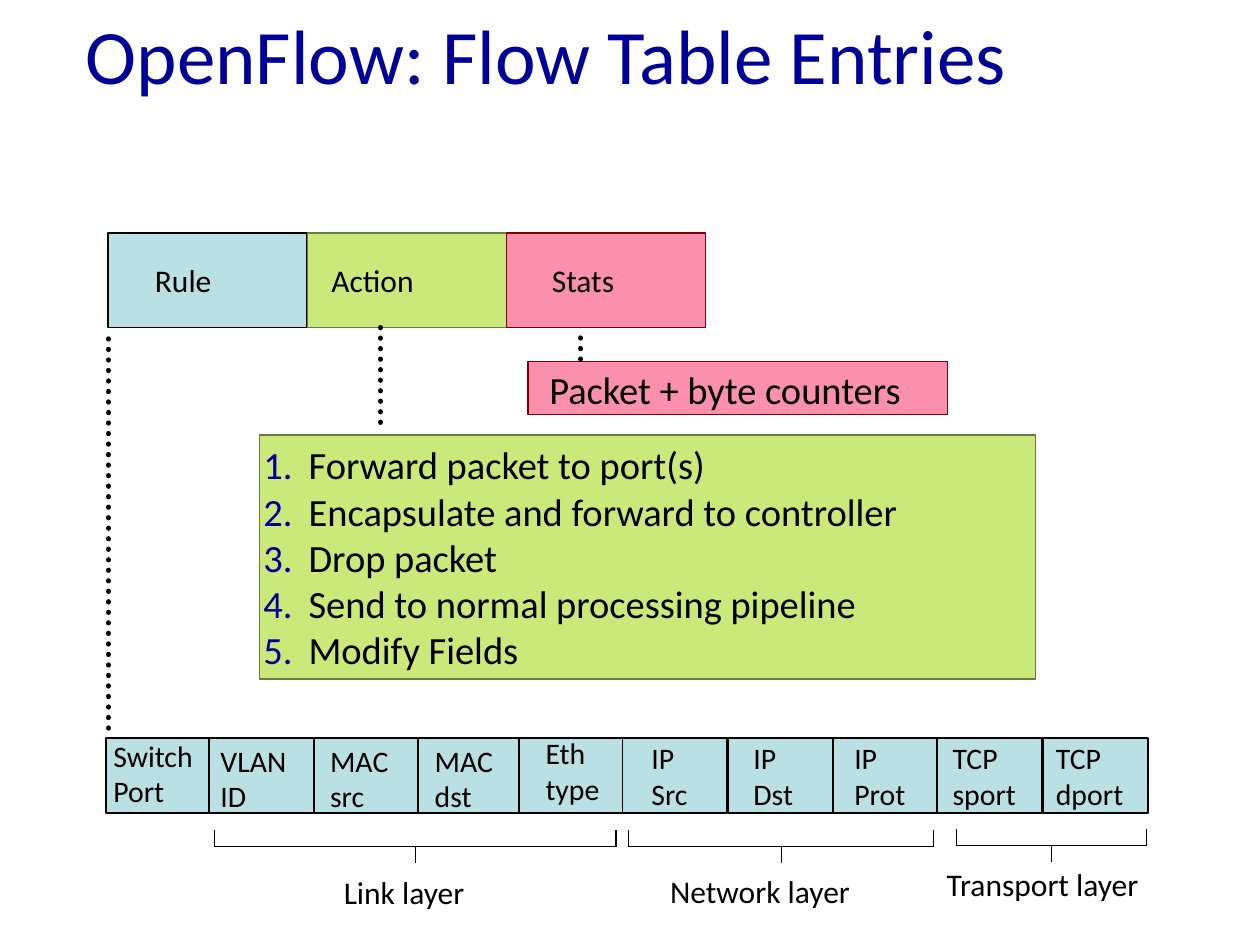
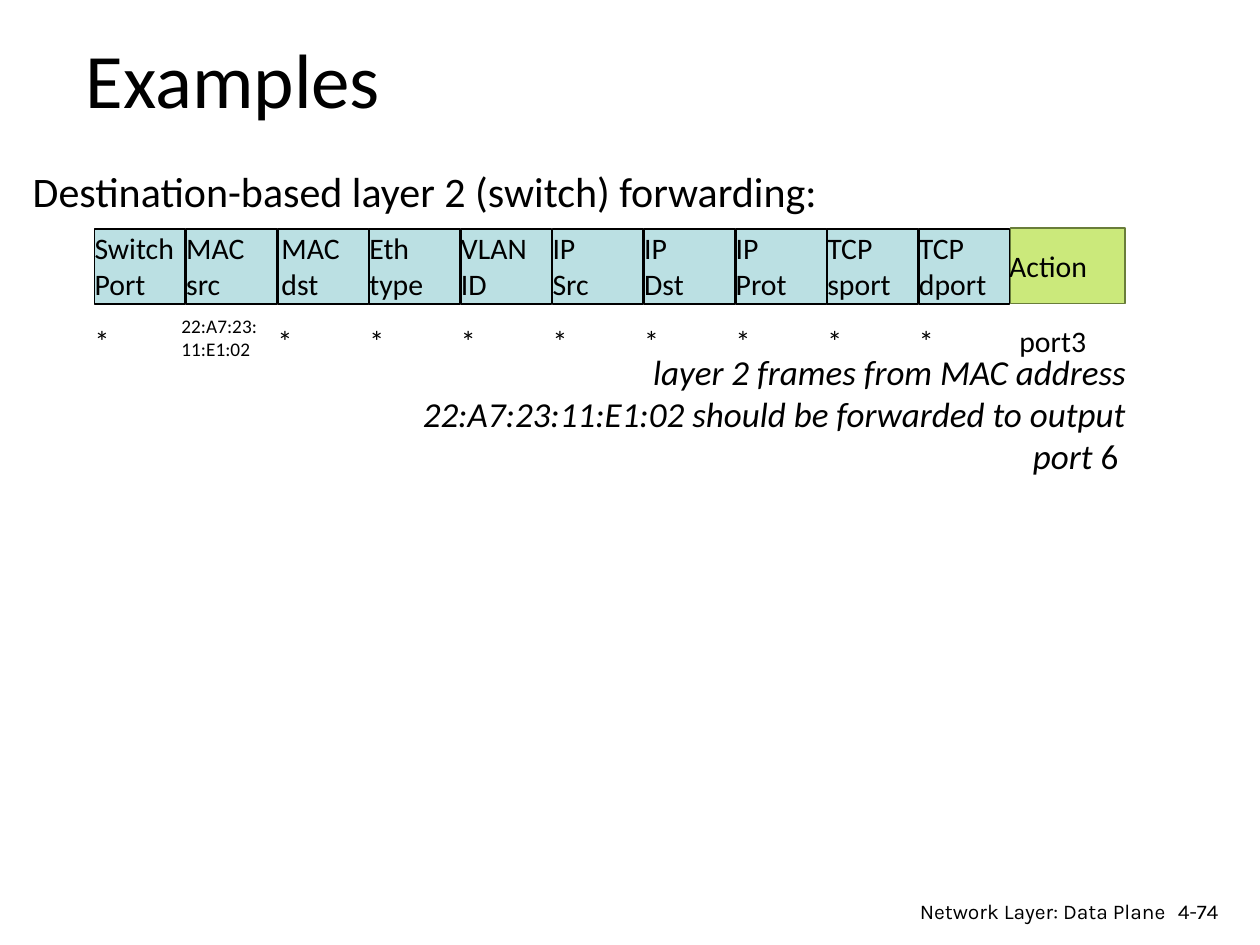
from lxml import etree
from pptx import Presentation
from pptx.dml.color import RGBColor
from pptx.enum.dml import MSO_LINE
from pptx.enum.shapes import MSO_CONNECTOR, MSO_SHAPE
from pptx.enum.text import MSO_ANCHOR, MSO_AUTO_SIZE, PP_ALIGN
from pptx.oxml.ns import qn
from pptx.util import Inches, Pt

RECT = MSO_SHAPE.RECTANGLE
STRAIGHT = MSO_CONNECTOR.STRAIGHT
DOTS = MSO_LINE.ROUND_DOT
TOP, MIDDLE = MSO_ANCHOR.TOP, MSO_ANCHOR.MIDDLE
LEFT, CENTER, RIGHT = PP_ALIGN.LEFT, PP_ALIGN.CENTER, PP_ALIGN.RIGHT
FIXED = MSO_AUTO_SIZE.NONE

BLACK, NAVY = "000000", "000099"
BLUE = ("BBE0E3", BLACK)
GREEN = ("CBE97B", "697D3A")
PINK = ("FA90AB", "800000")
PAD = (0.1, 0.05)


def color(code):
    return RGBColor.from_string(code)


def assign(target, values):
    for name, value in values.items():
        setattr(target, name, value)


class Deck:
    font, title_size, cell_size = "Calibri", 44, 17

    def __init__(self):
        self.prs = Presentation()
        assign(self.prs, {"slide_width": Inches(10), "slide_height": Inches(7.5)})

    def slide(self, title, at, tint, anchor):
        """Start a slide and format its title."""
        self.page = self.prs.slides.add_slide(self.prs.slide_layouts[5])
        self.host = self.page.shapes
        head = self.page.shapes.title
        names = ("left", "top", "width", "height")
        assign(head, dict(zip(names, map(Inches, at))))
        self.fill(head, title, self.title_size, tint=tint, anchor=anchor, pad=PAD)

    def group(self):
        """Send the next elements into a new group."""
        self.host = self.page.shapes.add_group_shape().shapes

    def ungroup(self):
        self.host = self.page.shapes

    def fill(self, shape, words, size, tint=BLACK, align=LEFT, anchor=MIDDLE,
             pad=(0, 0), font=None, italic=False):
        frame = shape.text_frame
        frame.text = words
        side, edge = map(Inches, pad)
        assign(frame, {
            "margin_left": side, "margin_right": side, "margin_top": edge,
            "margin_bottom": edge, "vertical_anchor": anchor,
            "word_wrap": True, "auto_size": FIXED})
        for para in frame.paragraphs:
            para.alignment = align
            for run in para.runs:
                self.style(run, size, tint, font, italic)
        return frame

    def style(self, run, size, tint=BLACK, font=None, italic=False):
        assign(run.font, {"name": font or self.font, "size": Pt(size), "italic": italic})
        run.font.color.rgb = color(tint)

    def text(self, words, at, size, **form):
        box = self.host.add_textbox(*map(Inches, at))
        return self.fill(box, words, size, **form)

    def box(self, at, paint):
        shape = self.host.add_shape(RECT, *map(Inches, at))
        shape.shadow.inherit = False
        shape.fill.solid()
        shape.fill.fore_color.rgb = color(paint[0])
        shape.line.color.rgb = color(paint[1])
        shape.line.width = Pt(1)
        return shape

    def number(self, frame):
        """Number the paragraphs with a hanging indent."""
        for para in frame.paragraphs:
            props = para._p.get_or_add_pPr()
            props.set("marL", str(Inches(0.39)))
            props.set("indent", str(Inches(-0.36)))
            tint = etree.SubElement(props, qn("a:buClr"))
            etree.SubElement(tint, qn("a:srgbClr"), val=NAVY)
            etree.SubElement(props, qn("a:buAutoNum"), type="arabicPeriod")

    def line(self, x1, y1, x2, y2, width=0.75):
        wire = self.host.add_connector(STRAIGHT, *map(Inches, (x1, y1, x2, y2)))
        wire.line.color.rgb = color(BLACK)
        wire.line.width = Pt(width)
        etree.SubElement(wire.element.spPr, qn("a:effectLst"))
        return wire

    def dots(self, *ends):
        wire = self.line(*ends, width=3)
        wire.line.dash_style = DOTS
        wire.element.spPr.find(qn("a:ln")).set("cap", "rnd")

    def brace(self, left, right, top):
        """Draw a square bracket that opens upward, with a stem below."""
        low, mid = top + 0.13, (left + right) / 2
        self.group()
        self.line(left, top, left, low)
        self.line(left, low, right, low)
        self.line(right, top, right, low)
        self.line(mid, low, mid, low + 0.13)
        self.ungroup()


def entries(deck):
    deck.slide("OpenFlow: Flow Table Entries", (0.58, 0.01, 8.5, 1.25), NAVY, TOP)

    # field, cell left, label left, label top, label width
    fields = [
        ("Switch\nPort", 0.84, 0.9, 5.85, 0.7),
        ("MAC\nsrc", 2.49, 2.62, 5.89, 0.54),
        ("MAC\ndst", 3.32, 3.45, 5.89, 0.54),
        ("Eth\ntype", 4.12, 4.33, 5.83, 0.5),
        ("VLAN\nID", 1.66, 1.75, 5.89, 0.6),
        ("IP\nSrc", 4.94, 5.17, 5.87, 0.37),
        ("IP\nDst", 5.78, 5.98, 5.87, 0.4),
        ("IP\nProt", 6.61, 6.78, 5.87, 0.49),
        ("TCP\nsport", 7.44, 7.56, 5.87, 0.58),
        ("TCP\ndport", 8.28, 8.38, 5.87, 0.62),
    ]
    for words, cell, left, top, width in fields:
        deck.box((cell, 5.86, 0.83, 0.59), BLUE)
        deck.text(words, (left, top, width, 0.57), deck.cell_size)

    parts = [("Rule", BLUE, 1.23, 0.53), ("Action", GREEN, 2.63, 0.75),
             ("Stats", PINK, 4.38, 0.58)]
    for i, (words, paint, left, width) in enumerate(parts):
        deck.box((0.86 + 1.58 * i, 1.85, 1.58, 0.75), paint)
        deck.text(words, (left, 2.07, width, 0.3), 18)

    acts = deck.box((2.06, 3.45, 6.16, 1.94), GREEN)
    deck.number(deck.fill(acts, "\n".join([
        "Forward packet to port(s)",
        "Encapsulate and forward to controller",
        "Drop packet",
        "Send to normal processing pipeline",
        "Modify Fields"]), 22))

    deck.dots(0.86, 2.69, 0.86, 5.85)
    deck.dots(3.02, 2.6, 3.02, 3.43)
    deck.box((4.19, 2.87, 3.33, 0.42), PINK)
    deck.text("Packet + byte counters", (4.36, 2.9, 3, 0.37), 22)
    deck.dots(4.61, 2.85, 4.61, 2.6)

    deck.brace(1.7, 4.89, 6.59)
    deck.brace(4.99, 7.41, 6.59)
    deck.brace(7.59, 9.1, 6.58)
    note = {"anchor": TOP, "pad": PAD}
    deck.text("Link layer", (2.63, 6.88, 1.25, 0.4), 18, **note)
    deck.text("Network layer", (5.22, 6.87, 1.72, 0.4), 18, **note)
    deck.text("Transport layer", (6.99, 6.82, 2.57, 0.4), 18, align=CENTER, **note)


def samples(deck):
    deck.slide("Examples", (0.58, -0.01, 3.07, 1.25), BLACK, MIDDLE)
    deck.text("Destination-based layer 2 (switch) forwarding:",
              (0.26, 1.31, 7.18, 0.4), 24)

    fields = ["Switch\nPort", "MAC\nsrc", "MAC\ndst", "Eth\ntype", "VLAN\nID",
              "IP\nSrc", "IP\nDst", "IP\nProt", "TCP\nsport", "TCP\ndport"]
    size, left, end, width = deck.cell_size, 0.75, 8.02, 0.72
    step = (end - left) / len(fields)
    deck.group()
    for i, words in enumerate(fields):
        x = left + step * i
        shift = 0.03 if words == "MAC\ndst" else 0
        deck.box((x, 1.82, width, 0.59), BLUE)
        deck.text(words, (x + shift, 1.8, width - shift, 0.62), size)
    deck.box((end, 1.81, 0.91, 0.6), GREEN)
    deck.text("Action", (8.01, 1.93, 0.92, 0.35), size)
    deck.ungroup()

    for i, words in enumerate(fields):
        if words != "MAC\nsrc":
            deck.text("*", (left + step * i, 2.53, width, 0.35), size)
    deck.text("22:A7:23:\n11:E1:02", (1.44, 2.51, width, 0.34), 11)
    deck.text("port3", (8.09, 2.53, width, 0.35), size)

    note = deck.text(
        "layer 2 frames from MAC address 22:A7:23:11:E1:02 "
        "should be forwarded to output port ",
        (3.08, 2.78, 5.86, 1), 20, align=RIGHT, italic=True)
    port = note.paragraphs[0].add_run()
    port.text = "6 "
    deck.style(port, 20)

    foot = {"font": "Karla", "anchor": TOP, "pad": PAD}
    deck.text("4-74", (9.25, 7.08, 0.61, 0.3), 12, **foot)
    deck.text("Network Layer: Data Plane", (6.97, 7.08, 2.38, 0.26), 12,
              align=RIGHT, **foot)


def main():
    deck = Deck()
    entries(deck)
    samples(deck)
    deck.prs.save("out.pptx")


if __name__ == "__main__":
    main()
